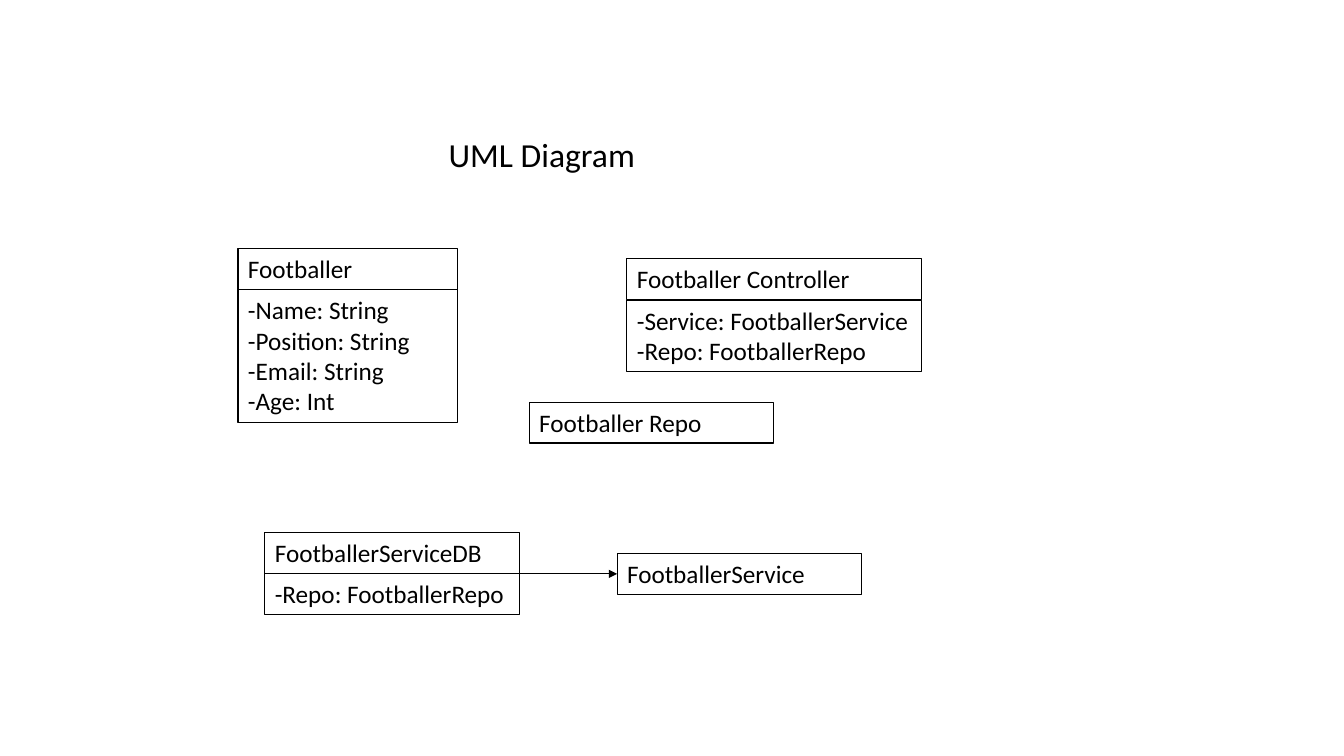
from dataclasses import dataclass

from lxml import etree
from pptx import Presentation
from pptx import util as u
from pptx.dml import color
from pptx.enum import shapes, text
from pptx.oxml import ns
from pptx.shapes.autoshape import Shape
from pptx.slide import Slide


@dataclass(frozen=True)
class Theme:
    ink: color.RGBColor = color.RGBColor(0, 0, 0)
    font: str = "Calibri"
    title_size: float = 24
    body_size: float = 18
    border: float = 0.75
    arrow: float = 0.5


@dataclass(frozen=True)
class UmlClass:
    name: str
    left: float
    top: float
    width: float
    members: tuple[str, ...] = ()


THEME = Theme()
LINE_HEIGHT = 21.8
VERTICAL_INSETS = 7.4
MEMBERS_OFFSET = 29.7

footballer = UmlClass(
    "Footballer", 170, 177.3, 157,
    ("-Name: String", "-Position: String", "-Email: String", "-Age: Int"),
)
controller = UmlClass(
    "Footballer Controller", 447.8, 184.8, 210.2,
    ("-Service: FootballerService", "-Repo: FootballerRepo"),
)
repo = UmlClass("Footballer Repo", 378, 287.3, 174.3)
service_db = UmlClass(
    "FootballerServiceDB", 189.2, 380.2, 182.2, ("-Repo: FootballerRepo",)
)
service = UmlClass("FootballerService", 440.8, 395.3, 174.3)


def write_lines(
    holder: Shape, lines: tuple[str, ...], size: float, align: text.PP_ALIGN
) -> None:
    frame = holder.text_frame
    frame.word_wrap = True
    frame.auto_size = text.MSO_AUTO_SIZE.SHAPE_TO_FIT_TEXT
    frame.vertical_anchor = text.MSO_ANCHOR.TOP
    for index, line in enumerate(lines):
        paragraph = frame.add_paragraph() if index else frame.paragraphs[0]
        paragraph.alignment = align
        run = paragraph.add_run()
        run.text = line
        run.font.name = THEME.font
        run.font.size = u.Pt(size)
        run.font.color.rgb = THEME.ink


def draw_compartment(
    slide: Slide, uml: UmlClass, top: float, lines: tuple[str, ...]
) -> Shape:
    height = VERTICAL_INSETS + LINE_HEIGHT * len(lines)
    compartment = slide.shapes.add_shape(
        shapes.MSO_SHAPE.RECTANGLE,
        u.Pt(uml.left), u.Pt(top), u.Pt(uml.width), u.Pt(height),
    )
    compartment.shadow.inherit = False
    compartment.fill.background()
    compartment.line.color.rgb = THEME.ink
    compartment.line.width = u.Pt(THEME.border)
    write_lines(compartment, lines, THEME.body_size, text.PP_ALIGN.LEFT)
    return compartment


def draw_class(slide: Slide, uml: UmlClass) -> Shape:
    heading = draw_compartment(slide, uml, uml.top, (uml.name,))
    if uml.members:
        draw_compartment(slide, uml, uml.top + MEMBERS_OFFSET, uml.members)
    return heading


def draw_arrow(slide: Slide, source: Shape, target: Shape) -> None:
    level = target.top + target.height // 2
    arrow = slide.shapes.add_connector(
        shapes.MSO_CONNECTOR.STRAIGHT,
        source.left + source.width, level, target.left, level,
    )
    arrow.line.color.rgb = THEME.ink
    arrow.line.width = u.Pt(THEME.arrow)
    outline = arrow.line._get_or_add_ln()
    etree.SubElement(outline, ns.qn("a:tailEnd"), type="triangle")
    etree.SubElement(arrow._element.spPr, ns.qn("a:effectLst"))


deck = Presentation()
deck.slide_width, deck.slide_height = u.Pt(960), u.Pt(540)
diagram = deck.slides.add_slide(deck.slide_layouts[6])

draw_class(diagram, footballer)
draw_class(diagram, controller)
title = diagram.shapes.add_textbox(u.Pt(238.3), u.Pt(92.2), u.Pt(297.4), u.Pt(36))
write_lines(title, ("UML Diagram",), THEME.title_size, text.PP_ALIGN.CENTER)
draw_class(diagram, repo)
service_db_heading = draw_class(diagram, service_db)
service_heading = draw_class(diagram, service)
draw_arrow(diagram, service_db_heading, service_heading)

deck.save("out.pptx")
